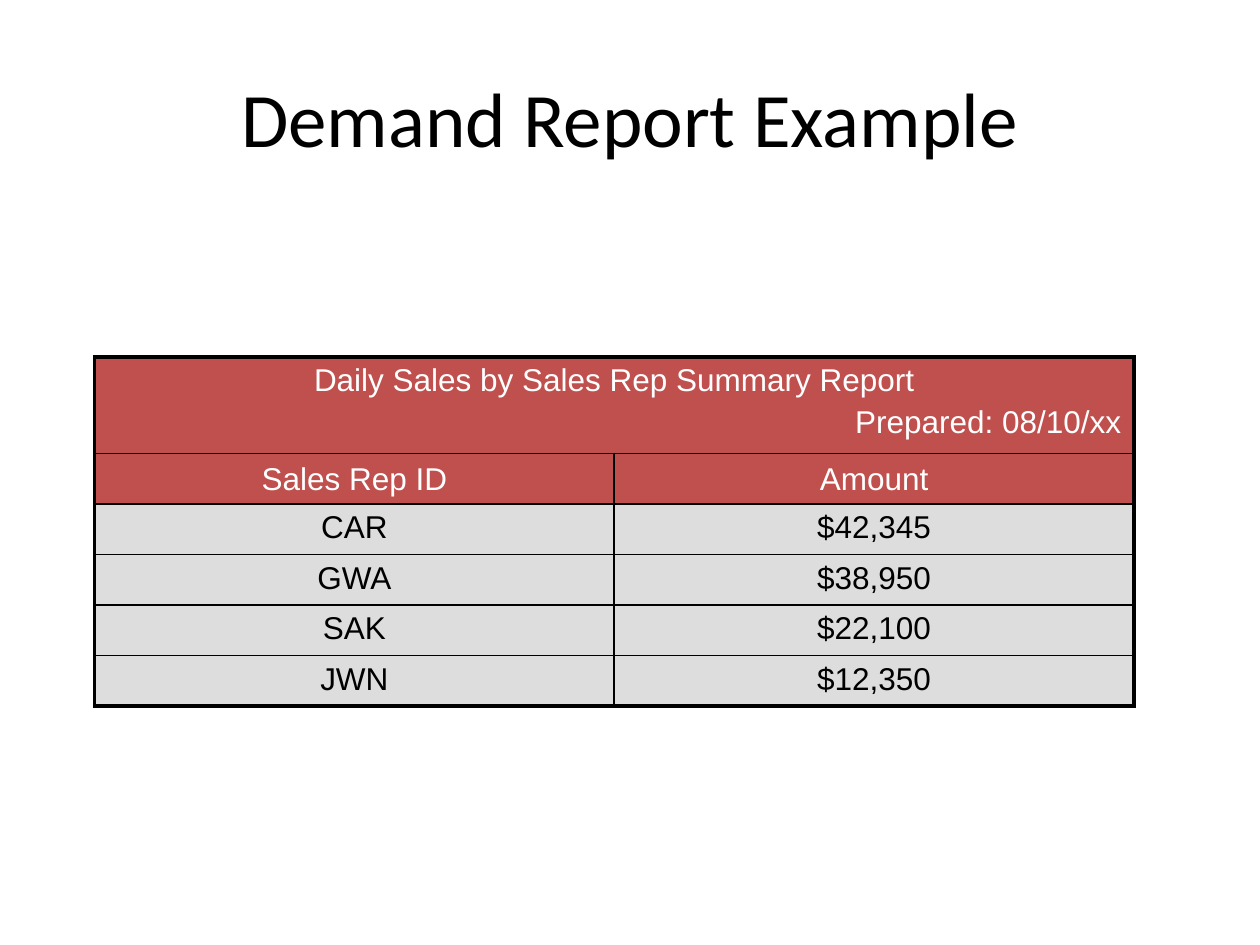
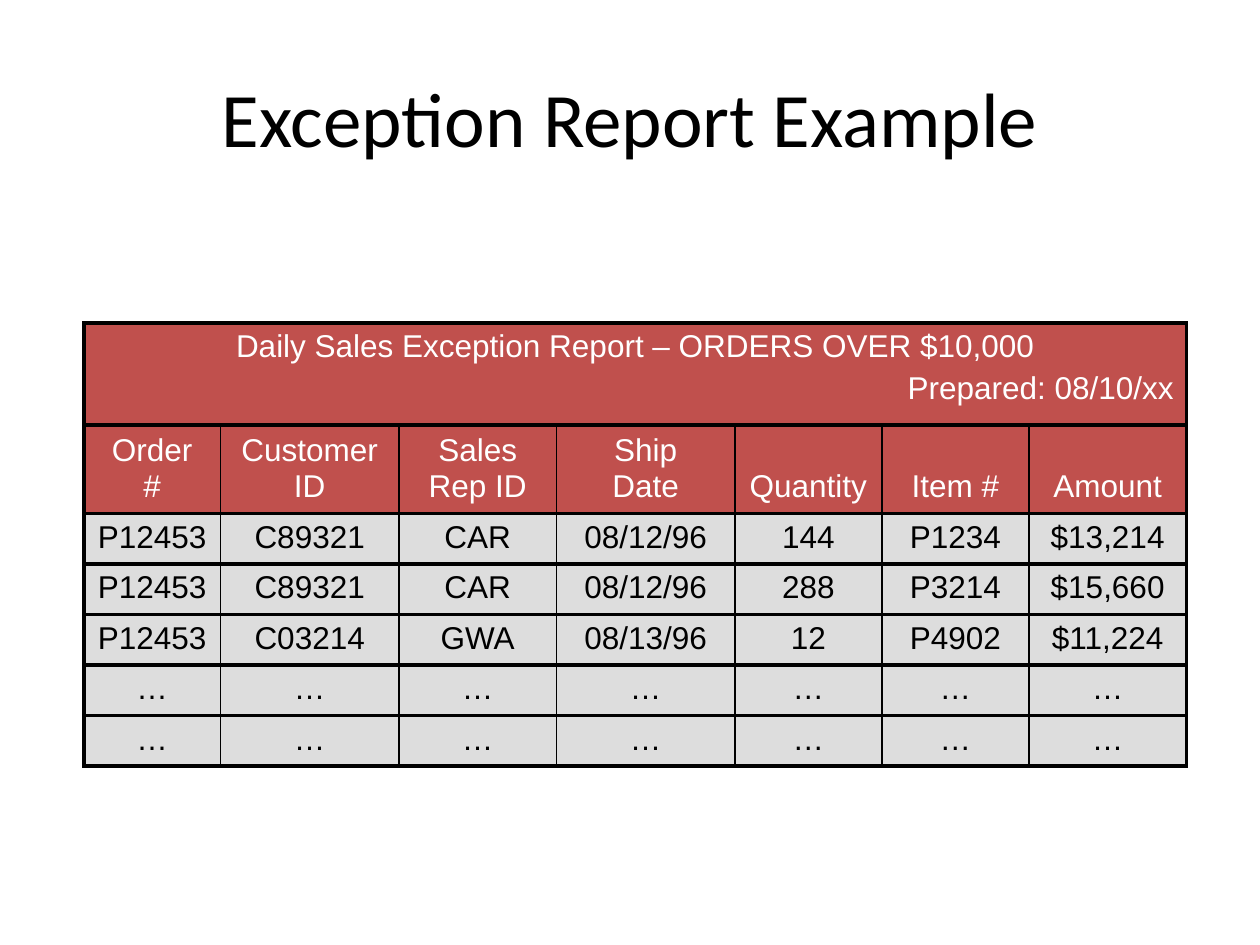
from lxml.etree import SubElement
from pptx import Presentation
from pptx.dml.color import RGBColor
from pptx.enum.text import MSO_ANCHOR, PP_ALIGN
from pptx.oxml.ns import qn
from pptx.util import Pt

BLACK, WHITE, RED, GREY = "000000", "FFFFFF", "C0504D", "DDDDDD"
THIN, THICK = 1, 2.25
BODY_HEIGHT = 28.9


def color(code):
    return RGBColor.from_string(code)


def space_before_percent(paragraph, percent):
    spacing = SubElement(paragraph._p.get_or_add_pPr(), qn("a:spcBef"))
    SubElement(spacing, qn("a:spcPct"), val=str(percent * 1000))


def draw_borders(cell, left, right, top, bottom):
    """Draw the four cell edges, each with its width in points."""
    properties = cell._tc.get_or_add_tcPr()
    edges = {"a:lnL": left, "a:lnR": right, "a:lnT": top, "a:lnB": bottom}
    for position, (tag, width) in enumerate(edges.items()):
        line = SubElement(properties, qn(tag), w=str(Pt(width)))
        fill = SubElement(line, qn("a:solidFill"))
        SubElement(fill, qn("a:srgbClr"), val=BLACK)
        properties.insert(position, line)


class ReportDeck:
    title_font, title_size = "Calibri", 44
    table_font, table_size = "Arial", 18

    def __init__(self):
        self.deck = Presentation()
        self.deck.slide_width, self.deck.slide_height = Pt(720), Pt(540)
        self.page = None

    def format_text(self, paragraph, font, size, ink, align):
        paragraph.alignment = align
        paragraph.font.name = font
        paragraph.font.size = Pt(size)
        paragraph.font.bold = False
        paragraph.font.color.rgb = color(ink)

    def add_page(self, title):
        self.page = self.deck.slides.add_slide(self.deck.slide_layouts[5])
        box = self.page.shapes.title
        box.left, box.top, box.width, box.height = Pt(36), Pt(21.6), Pt(648), Pt(90)
        box.text_frame.text = title
        box.text_frame.vertical_anchor = MSO_ANCHOR.MIDDLE
        self.format_text(box.text_frame.paragraphs[0], self.title_font,
                         self.title_size, BLACK, PP_ALIGN.CENTER)

    def fill_cell(self, cell, lines, fill, ink):
        """Write (text, alignment) pairs as paragraphs on a filled cell."""
        cell.fill.solid()
        cell.fill.fore_color.rgb = color(fill)
        frame = cell.text_frame
        for number, (text, align) in enumerate(lines):
            paragraph = frame.add_paragraph() if number else frame.paragraphs[0]
            paragraph.text = text
            self.format_text(paragraph, self.table_font, self.table_size, ink, align)
            space_before_percent(paragraph, 20)

    def add_report(self, left, top, widths, heading_heights, heading, rows,
                   row_line, header_margin=3.6):
        """Add a table: merged heading, column headers, then body rows."""
        heights = list(heading_heights) + [BODY_HEIGHT] * (len(rows) - 1)
        table = self.page.shapes.add_table(
            len(heights), len(widths), Pt(left), Pt(top),
            Pt(sum(widths)), Pt(sum(heights))).table
        table.first_row = table.horz_banding = False
        for column, width in zip(table.columns, widths):
            column.width = Pt(width)
        for row, height in zip(table.rows, heights):
            row.height = Pt(height)

        table.cell(0, 0).merge(table.cell(0, len(widths) - 1))
        self.fill_cell(table.cell(0, 0), [(heading, PP_ALIGN.CENTER),
                                          ("Prepared: 08/10/xx", PP_ALIGN.RIGHT)],
                       RED, WHITE)
        for row_number, values in enumerate(rows, start=1):
            fill, ink = (RED, WHITE) if row_number == 1 else (GREY, BLACK)
            for column_number, value in enumerate(values):
                cell = table.cell(row_number, column_number)
                self.fill_cell(cell, [(value, PP_ALIGN.CENTER)], fill, ink)
                if row_number == 1:
                    cell.vertical_anchor = MSO_ANCHOR.BOTTOM
                    cell.margin_bottom = Pt(header_margin)
        self.rule_table(table, row_line)

    def rule_table(self, table, row_line):
        """Thick outline, thin column lines, row lines of the given width."""
        last_row, last_column = len(table.rows) - 1, len(table.columns) - 1
        for row in range(last_row + 1):
            for column in range(last_column + 1):
                at_right = row == 0 or column == last_column
                draw_borders(table.cell(row, column),
                             left=THIN if column else THICK,
                             right=THICK if at_right else THIN,
                             top=row_line if row else THICK,
                             bottom=THICK if row == last_row else row_line)


def main():
    report = ReportDeck()

    report.add_page("Demand Report Example")
    report.add_report(
        54, 204, [297, 297], (55, BODY_HEIGHT),
        "Daily Sales by Sales Rep Summary Report",
        [("Sales Rep ID", "Amount"),
         ("CAR", "$42,345"),
         ("GWA", "$38,950"),
         ("SAK", "$22,100"),
         ("JWN", "$12,350")],
        row_line=THIN)

    report.add_page("Exception Report Example")
    report.add_report(
        48, 184.5, [78, 102, 90, 102, 84, 84, 90], (58.4, 50.4),
        "Daily Sales Exception Report – ORDERS OVER $10,000",
        [("Order\v#", "Customer\vID", "Sales Rep ID", "Ship\vDate",
          "Quantity", "Item #", "Amount"),
         ("P12453", "C89321", "CAR", "08/12/96", "144", "P1234", "$13,214"),
         ("P12453", "C89321", "CAR", "08/12/96", "288", "P3214", "$15,660"),
         ("P12453", "C03214", "GWA", "08/13/96", "12", "P4902", "$11,224"),
         ("…",) * 7,
         ("…",) * 7],
        row_line=THICK, header_margin=5.4)

    report.deck.save("out.pptx")


if __name__ == "__main__":
    main()
